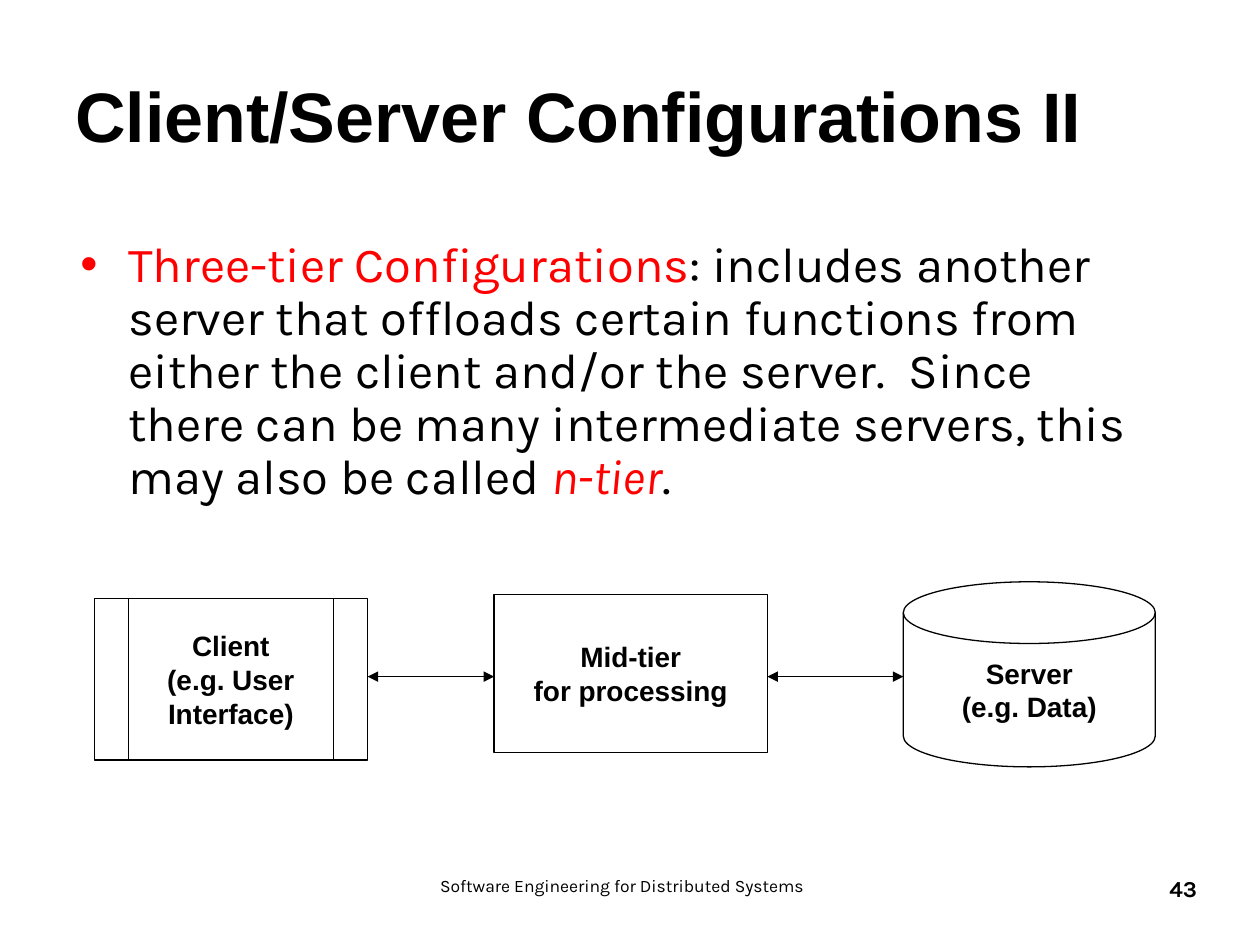
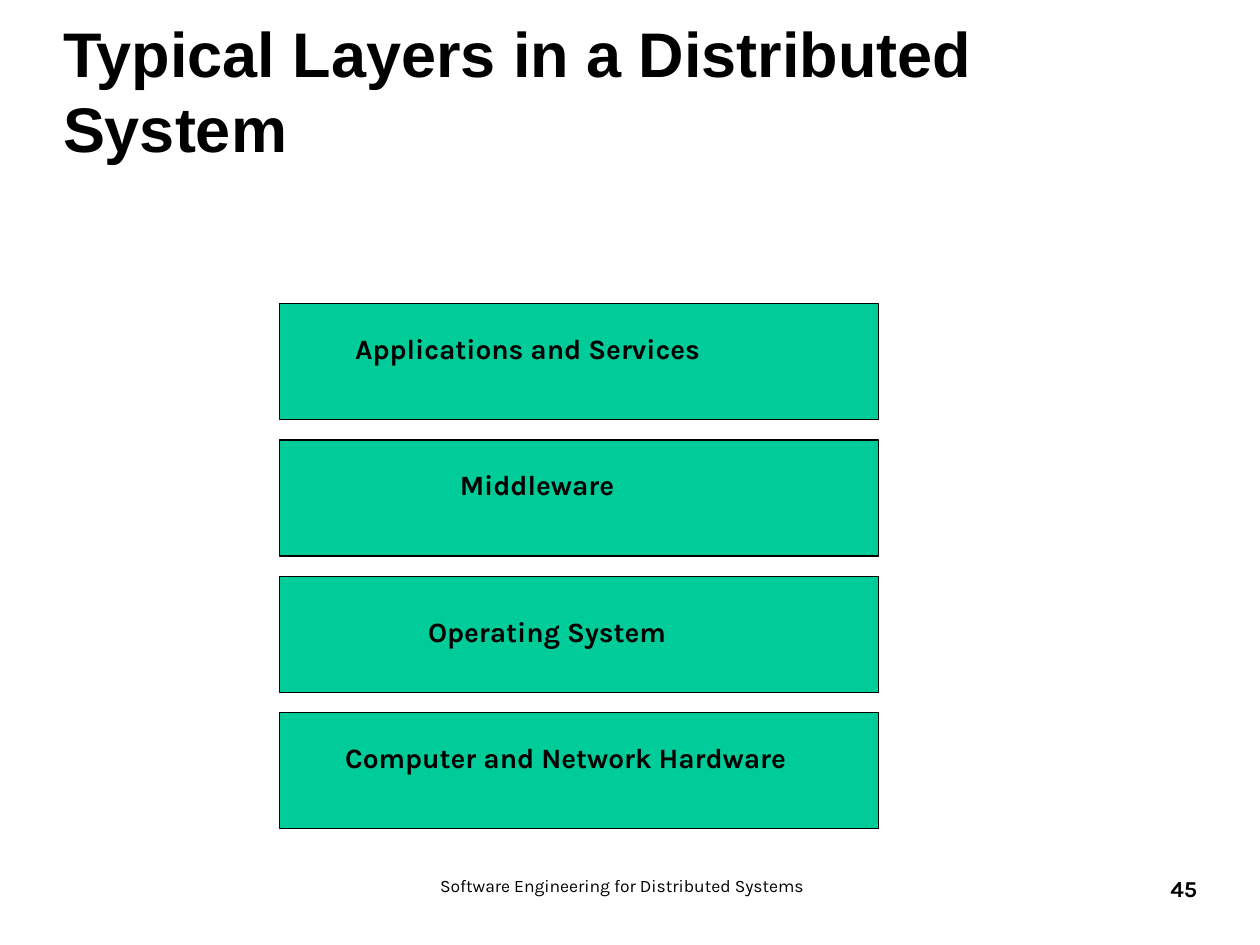
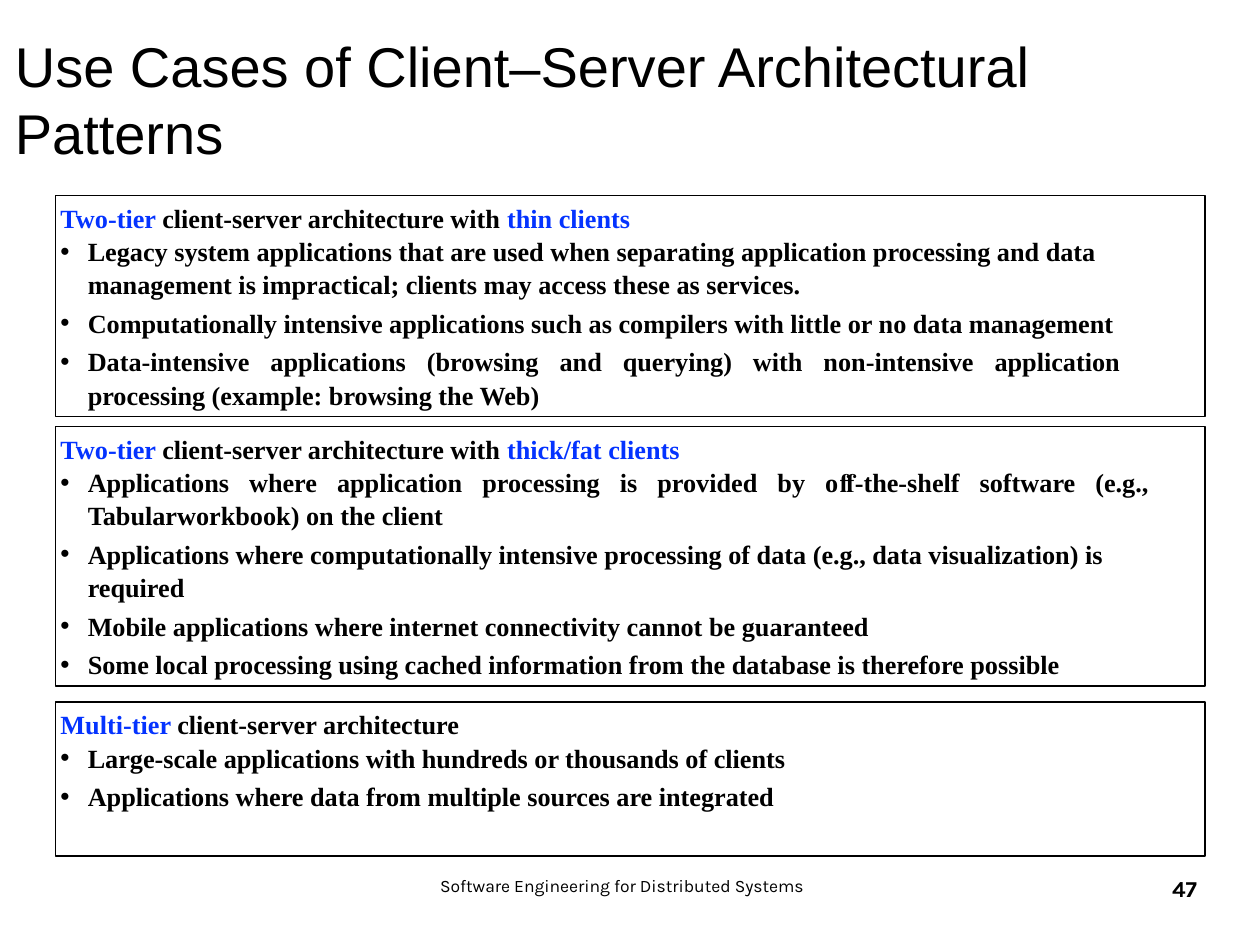
from collections import namedtuple

from lxml.etree import SubElement
from pptx import Presentation
from pptx.dml.color import RGBColor
from pptx.enum.shapes import MSO_CONNECTOR, MSO_SHAPE as SHAPE
from pptx.enum.text import MSO_ANCHOR as ANCHOR, MSO_AUTO_SIZE, PP_ALIGN as ALIGN
from pptx.oxml.ns import qn
from pptx.util import Cm, Pt

COLORS = {
    "ink": "000000",
    "paper": "FFFFFF",
    "red": "FF0000",
    "blue": "0433FF",
    "layer": "00CC99",
}
HEADING_FONT, BODY_FONT, CASE_FONT = "Arial", "Karla", "Times New Roman"
FOOTER = "Software Engineering for Distributed Systems"

Box = namedtuple("Box", "left top width height")
FOOTER_BOX = Box(8.51, 17.63, 8.05, 1.04)
NUMBER_BOX = Box(18.21, 17.63, 5.92, 1.04)


def color(name):
    return RGBColor.from_string(COLORS[name])


def lengths(box):
    return [Cm(value) for value in box]


def within(region, left, top, width, height):
    return Box(region.left + left, region.top + top, width, height)


def set_frame(frame, insets=(0.25, 0.13, 0.25, 0.13), wrap=True, anchor=ANCHOR.TOP):
    frame.auto_size = MSO_AUTO_SIZE.NONE
    frame.word_wrap = wrap
    frame.vertical_anchor = anchor
    (frame.margin_left, frame.margin_top,
     frame.margin_right, frame.margin_bottom) = lengths(insets)


def write(para, spans, font, size, bold=False, align=ALIGN.LEFT, spacing=None):
    """Fill a paragraph with text, or with (text, color, italic) spans."""
    para.alignment = align
    para.line_spacing = spacing
    para.font.name, para.font.size, para.font.bold = font, Pt(size), bold
    para.font.color.rgb = color("ink")
    if isinstance(spans, str):
        para.add_run().text = spans
        return
    for text, tint, italic in spans:
        span = para.add_run()
        span.text = text
        span.font.color.rgb = color(tint)
        if italic:
            span.font.italic = True


def add_bullet(para, left, hanging):
    properties = para._p.get_or_add_pPr()
    properties.set("marL", str(Cm(left)))
    properties.set("indent", str(-Cm(hanging)))
    SubElement(properties, qn("a:buFont"), typeface="Arial")
    SubElement(properties, qn("a:buChar"), char="•")


def add_text(page, box, spans, font, size, insets=(0, 0, 0, 0), wrap=True, **style):
    frame = page.shapes.add_textbox(*lengths(box)).text_frame
    set_frame(frame, insets, wrap)
    write(frame.paragraphs[0], spans, font, size, **style)


def add_box(page, kind, box, fill=None, line_width=0.75):
    shape = page.shapes.add_shape(kind, *lengths(box))
    shape.shadow.inherit = False
    if fill:
        shape.fill.solid()
        shape.fill.fore_color.rgb = color(fill)
    else:
        shape.fill.background()
    shape.line.color.rgb = color("ink")
    shape.line.width = Pt(line_width)
    return shape


def add_double_arrow(page, start, end, height):
    arrow = page.shapes.add_connector(
        MSO_CONNECTOR.STRAIGHT, Cm(start), Cm(height), Cm(end), Cm(height))
    arrow.line.color.rgb = color("ink")
    arrow.line.width = Pt(0.75)
    line = arrow.line._get_or_add_ln()
    for tip in ("a:headEnd", "a:tailEnd"):
        SubElement(line, qn(tip), type="triangle")
    SubElement(arrow._element.spPr, qn("a:effectLst"))


def add_page(deck, title, box, size, number, bold=True):
    page = deck.slides.add_slide(deck.slide_layouts[5])
    heading = page.shapes.title
    heading.left, heading.top, heading.width, heading.height = lengths(box)
    set_frame(heading.text_frame, wrap=False, anchor=ANCHOR.MIDDLE)
    write(heading.text_frame.paragraphs[0], title, HEADING_FONT, size, bold=bold)
    add_text(page, FOOTER_BOX, FOOTER, BODY_FONT, 10, align=ALIGN.CENTER, spacing=1.01)
    add_text(page, NUMBER_BOX, number, BODY_FONT, 13, bold=True,
             align=ALIGN.RIGHT, spacing=1.01)
    return page


def add_definition(page, box, spans):
    frame = page.shapes.add_textbox(*lengths(box)).text_frame
    set_frame(frame)
    para = frame.paragraphs[0]
    add_bullet(para, 2.11, 0.97)
    write(para, spans, BODY_FONT, 28, spacing=0.9)


def add_tiers(page, region):
    tiers = [
        (SHAPE.FLOWCHART_PREDEFINED_PROCESS, (0, 0.34, 5.51, 3.25),
         ["Client", "(e.g. User", "Interface)"]),
        (SHAPE.RECTANGLE, (8.06, 0.26, 5.51, 3.18), ["Mid-tier", "for processing"]),
        (SHAPE.FLOWCHART_MAGNETIC_DISK, (16.31, 0, 5.08, 3.73),
         ["Server", "(e.g. Data)"]),
    ]
    boxes = [within(region, *place) for _, place, _ in tiers]
    for (kind, _, lines), box in zip(tiers, boxes):
        frame = add_box(page, kind, box, "paper").text_frame
        set_frame(frame, wrap=False, anchor=ANCHOR.MIDDLE)
        for index, line in enumerate(lines):
            para = frame.add_paragraph() if index else frame.paragraphs[0]
            write(para, line, HEADING_FONT, 16, bold=True, align=ALIGN.CENTER)
    for before, after in zip(boxes, boxes[1:]):
        add_double_arrow(page, before.left + before.width, after.left,
                         region.top + 1.91)


def add_layers(page, region, layers, gap=0.41):
    """Stack equal bars; each label has its own offset and width."""
    height = (region.height - gap * (len(layers) - 1)) / len(layers)
    for index, (label, left, top, width) in enumerate(layers):
        bar = within(region, 0, index * (height + gap), region.width, height)
        add_box(page, SHAPE.RECTANGLE, bar, "layer")
        add_text(page, within(bar, left, top, width, 0.94), label, BODY_FONT, 16,
                 insets=(0.25, 0.13, 0.25, 0.13), wrap=False, bold=True)


def add_use_cases(page, box, right_inset, heading, cases, justified=None):
    """Draw a framed heading with bullets; one bullet may be justified."""
    frame = add_box(page, SHAPE.RECTANGLE, box, line_width=1).text_frame
    set_frame(frame, (0.1, 0.1, right_inset, 0))
    spans = [(text, tint, False) for text, tint in heading]
    write(frame.paragraphs[0], spans, CASE_FONT, 15, bold=True, spacing=Pt(19))
    for case in cases:
        para = frame.add_paragraph()
        add_bullet(para, 0.55, 0.55)
        align = ALIGN.JUSTIFY if case == justified else ALIGN.LEFT
        write(para, case, CASE_FONT, 15, bold=True, align=align, spacing=Pt(19))
        para.space_after = Pt(3)


def build_configurations(deck):
    page = add_page(deck, "Client/Server Configurations II",
                    Box(1.27, 1.12, 22.86, 2.39), 40, "43")
    add_definition(page, Box(0.23, 4.72, 22.81, 5.72), [
        ("Three-tier Configurations", "red", False),
        (": includes another server that offloads certain functions from either "
         "the client and/or the server.  Since there can be many intermediate "
         "servers, this may also be called ", "ink", False),
        ("n-tier", "red", True),
        (".", "ink", False),
    ])
    add_tiers(page, Box(1.9, 11.73, 21.39, 3.73))


def build_layers(deck):
    page = add_page(deck, "Typical Layers in a Distributed System",
                    Box(1.02, 0.91, 23.6, 1.8), 36, "45")
    add_layers(page, Box(5.64, 6.12, 12.07, 10.59), [
        ("Applications and Services", 1.27, 0.43, 7.82),
        ("Middleware", 3.38, 0.43, 3.86),
        ("Operating System", 2.74, 0.64, 5.64),
        ("Computer and Network Hardware", 1.07, 0.43, 10.21),
    ])


def build_use_cases(deck):
    page = add_page(deck, "Use Cases of Client–Server Architectural Patterns",
                    Box(0.05, 1.33, 25.3, 1.3), 32, "47", bold=False)
    shared = ("client-server architecture with ", "ink")
    browsing = ("Data-intensive applications (browsing and querying) with "
                "non-intensive application processing (example: browsing the Web)")
    packaged = ("Applications where application processing is provided by "
                "oﬀ-the-shelf software (e.g., Tabularworkbook) on the client")
    add_use_cases(
        page, Box(1.12, 3.94, 23.18, 4.46), 1.7,
        [("Two-tier ", "blue"), shared, ("thin clients", "blue")],
        ["Legacy system applications that are used when separating application "
         "processing and data management is impractical; clients may access "
         "these as services.",
         "Computationally intensive applications such as compilers with little "
         "or no data management",
         browsing],
        justified=browsing)
    add_use_cases(
        page, Box(1.12, 8.6, 23.18, 5.23), 1.12,
        [("Two-tier ", "blue"), shared, ("thick/fat clients", "blue")],
        [packaged,
         "Applications where computationally intensive processing of data "
         "(e.g., data visualization) is required",
         "Mobile applications where internet connectivity cannot be guaranteed",
         "Some local processing using cached information from the database is "
         "therefore possible"],
        justified=packaged)
    add_use_cases(
        page, Box(1.12, 14.15, 23.18, 3.11), 1.12,
        [("Multi-tier ", "blue"), ("client-server architecture", "ink")],
        ["Large-scale applications with hundreds or thousands of clients",
         "Applications where data from multiple sources are integrated"])


def main():
    deck = Presentation()
    deck.slide_width, deck.slide_height = Cm(25.4), Cm(19.05)
    build_configurations(deck)
    build_layers(deck)
    build_use_cases(deck)
    deck.save("out.pptx")


if __name__ == "__main__":
    main()
